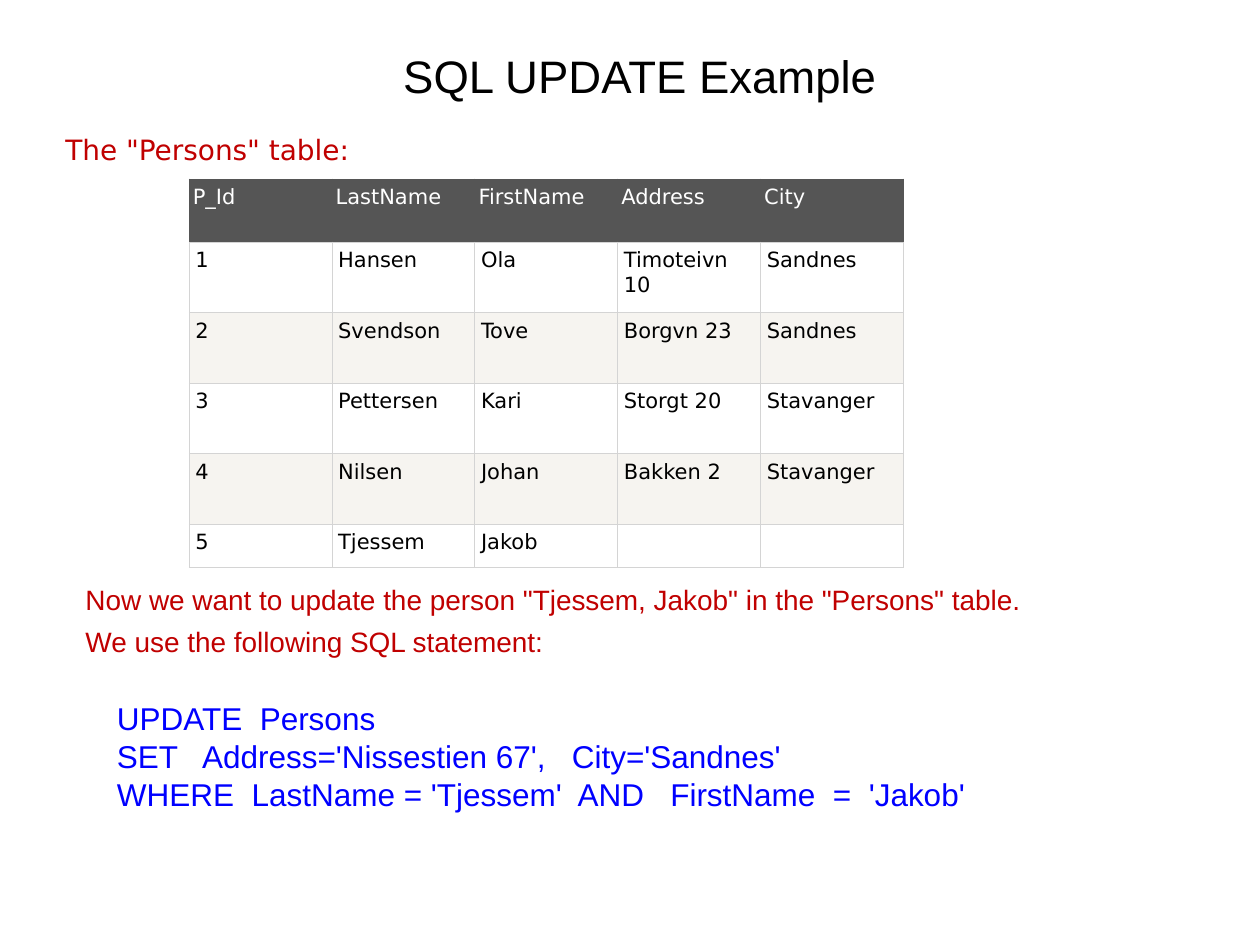
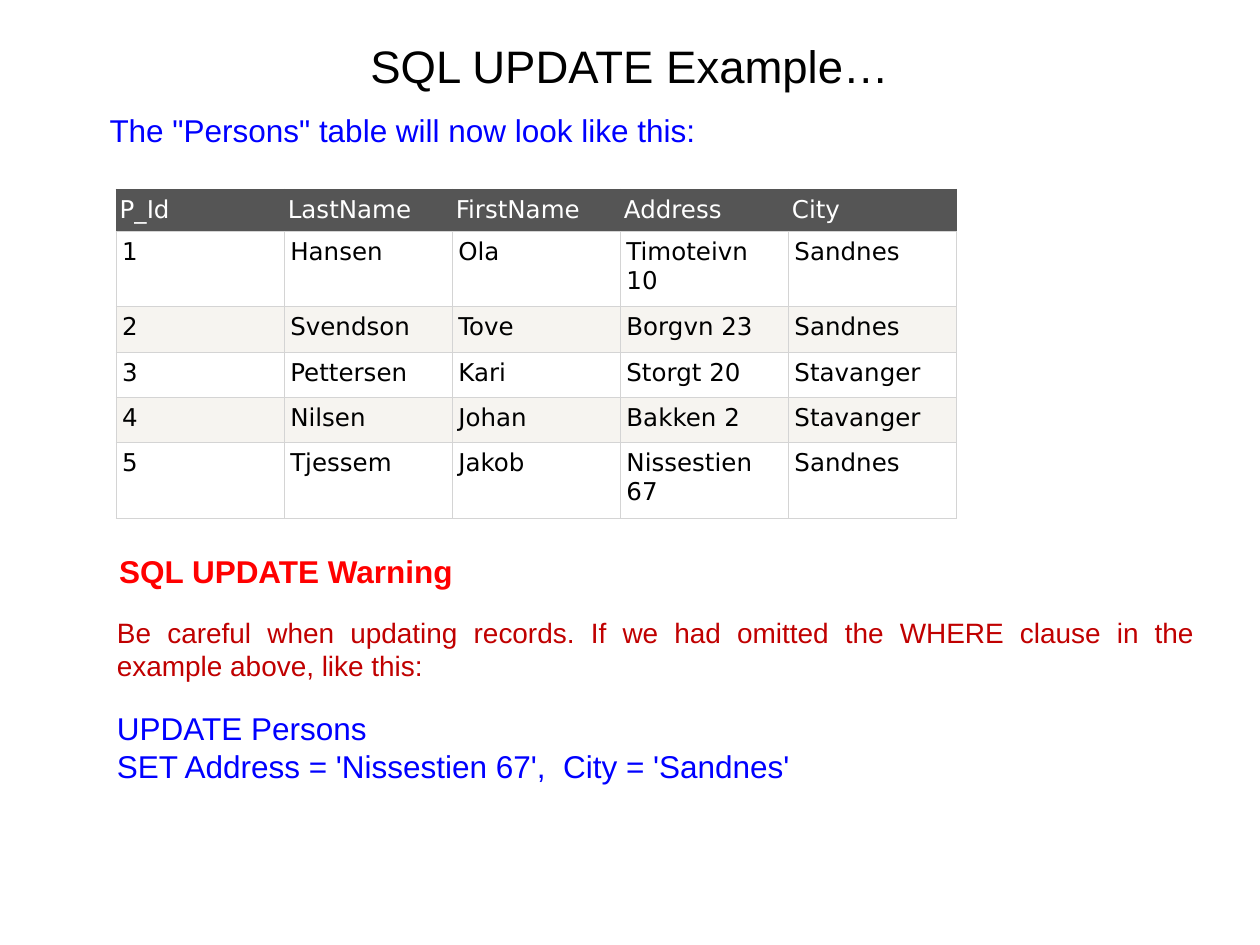
from lxml import etree
from pptx import Presentation
from pptx.dml.color import RGBColor
from pptx.enum import text
from pptx.oxml import ns
from pptx.util import Inches, Pt

COLORS = {
    "black": "000000", "white": "FFFFFF", "crimson": "C00000", "red": "FF0000",
    "blue": "0000FF", "head": "555555", "band": "F6F4F0", "rule": "D4D4D4",
}
SANS, WIDE = "Arial", "DejaVu Sans"
LEFT, MID, JUST = text.PP_ALIGN.LEFT, text.PP_ALIGN.CENTER, text.PP_ALIGN.JUSTIFY

FIELDS = ["P_Id", "LastName", "FirstName", "Address", "City"]
PERSONS = [
    ["1", "Hansen", "Ola", "Timoteivn 10", "Sandnes"],
    ["2", "Svendson", "Tove", "Borgvn 23", "Sandnes"],
    ["3", "Pettersen", "Kari", "Storgt 20", "Stavanger"],
    ["4", "Nilsen", "Johan", "Bakken 2", "Stavanger"],
]
BEFORE = PERSONS + [["5", "Tjessem", "Jakob", "", ""]]
AFTER = PERSONS + [["5", "Tjessem", "Jakob", "Nissestien 67", "Sandnes"]]


def rgb(name):
    return RGBColor.from_string(COLORS[name])


def style(font, size, color, face, bold=False):
    font.size, font.name, font.bold = Pt(size), face, bold
    font.color.rgb = rgb(color)


def write(slide, box, *paras, size=16, color="crimson", face=SANS, bold=False,
          align=LEFT, wrap=True, gap=5):
    """Place one text box; line breaks inside a paragraph are kept."""
    frame = slide.shapes.add_textbox(*map(Inches, box)).text_frame
    frame.word_wrap = wrap
    frame.vertical_anchor = text.MSO_ANCHOR.MIDDLE
    for i, words in enumerate(paras):
        para = frame.add_paragraph() if i else frame.paragraphs[0]
        para.text, para.alignment = words, align
        if i:
            para.space_before = Pt(gap)
        for run in para.runs:
            style(run.font, size, color, face, bold)
    return frame


def title(slide, left, top, words):
    frame = write(slide, (left, top, 8.66, 0.44), words, size=26, color="black", align=MID)
    frame.margin_left = frame.margin_right = frame.margin_bottom = Inches(0.01)
    frame.margin_top = Inches(0.05)
    frame.vertical_anchor = text.MSO_ANCHOR.TOP


def code(slide, box, words):
    write(slide, box, words, size=18, color="blue")


def edge(cell, side, color):
    line = etree.SubElement(cell._tc.get_or_add_tcPr(), ns.qn(f"a:ln{side}"), w=str(Pt(0.34)))
    fill = etree.SubElement(line, ns.qn("a:solidFill"))
    etree.SubElement(fill, ns.qn("a:srgbClr"), val=COLORS[color])


def fill_cell(cell, words, size, head, band):
    cell.margin_left = cell.margin_right = Inches(0.03 if head else 0.05)
    cell.margin_top = cell.margin_bottom = Inches(0.05)
    for side in "LRTB":
        edge(cell, side, "head" if head and side != "B" else "rule")
    cell.fill.solid()
    cell.fill.fore_color.rgb = rgb("head" if head else "band" if band else "white")
    para = cell.text_frame.paragraphs[0]
    if words:
        run = para.add_run()
        run.text = words
        style(run.font, size, "white" if head else "black", WIDE)
    else:
        etree.SubElement(para._p, ns.qn("a:endParaRPr"), sz=str(size * 100))


def grid(slide, left, top, width, heights, people, size):
    """Persons table with a dark header and every second row tinted."""
    rows = [FIELDS] + people
    box = map(Inches, (left, top, width, sum(heights)))
    table = slide.shapes.add_table(len(rows), len(FIELDS), *box).table
    table.first_row = table.horz_banding = False
    for r, (row, high) in enumerate(zip(rows, heights)):
        table.rows[r].height = Inches(high)
        for c, words in enumerate(row):
            fill_cell(table.cell(r, c), words, size, r == 0, r % 2 == 0)


def update(slide):
    title(slide, 0.75, 0.33, "SQL UPDATE Example")
    grid(slide, 1.5, 1.42, 5.67, [0.5] + [0.56] * 4 + [0.34], BEFORE, 12)
    write(slide, (0.42, 1, 9.08, 0.37), 'The "Persons" table:', face=WIDE)
    write(slide, (0.58, 4.58, 9.08, 0.69),
          'Now we want to update the person "Tjessem, Jakob" in the "Persons" table.',
          "We use the following SQL statement:")
    code(slide, (0.83, 5.5, 8.08, 1),
         "UPDATE  Persons\n"
         "SET   Address='Nissestien 67',   City='Sandnes'\n"
         "WHERE  LastName = 'Tjessem'  AND   FirstName  =  'Jakob'")


def result(slide):
    title(slide, 0.67, 0.25, "SQL UPDATE Example…")
    write(slide, (0.77, 0.83, 4.85, 0.4), 'The "Persons" table will now look like this:',
          size=18, color="blue", align=MID, wrap=False)
    grid(slide, 0.92, 1.5, 6.67, [0.33, 0.6] + [0.36] * 3 + [0.6], AFTER, 14)
    write(slide, (0.83, 4.33, 2.88, 0.4), "SQL UPDATE Warning",
          size=18, color="red", bold=True, align=MID, wrap=False)
    write(slide, (0.83, 4.83, 8.75, 0.64),
          "Be careful when updating records. If we had omitted the WHERE clause "
          "in the example above, like this:", align=JUST)
    code(slide, (0.83, 5.58, 8.58, 0.7),
         "UPDATE Persons\nSET Address = 'Nissestien 67',  City = 'Sandnes'")


def main():
    deck = Presentation()
    deck.slide_width, deck.slide_height = Inches(10), Inches(7.5)
    for build in (update, result):
        build(deck.slides.add_slide(deck.slide_layouts[6]))
    deck.save("out.pptx")


if __name__ == "__main__":
    main()
